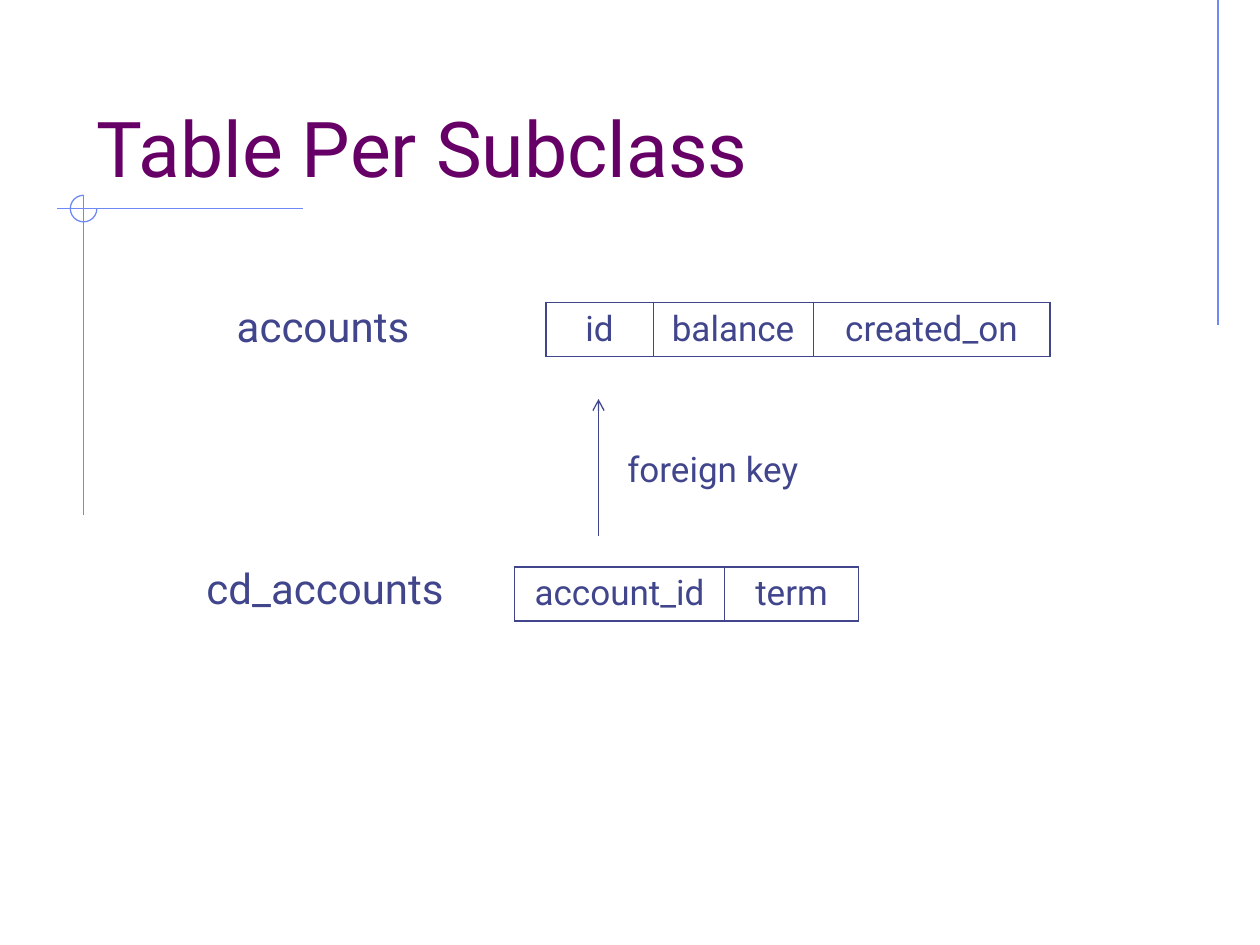
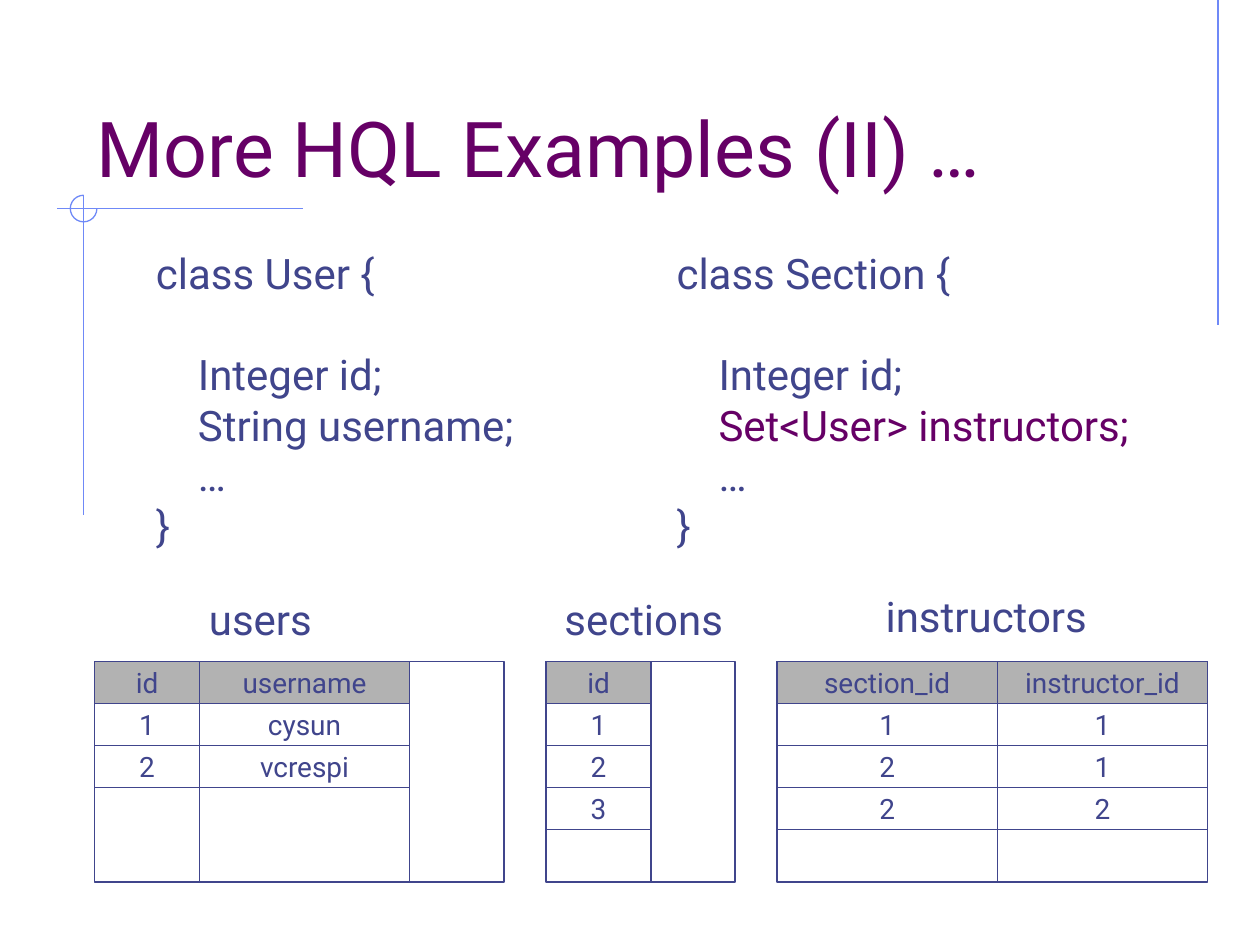
from dataclasses import dataclass
from itertools import accumulate

from lxml import etree
from pptx import Presentation
from pptx.dml.color import RGBColor
from pptx.enum import shapes, text
from pptx.oxml import ns
from pptx.slide import Slide, SlideLayout
from pptx.util import Pt

FONT = "Roboto"
INK, PLUM, SKY, GREY = "40458C", "660066", "6F89F7", "B2B2B2"
THIN = 0.75
CODE_SIZE = 24
CODE_LINE = 28.8
CODE_INDENT = 24
ROW_HEIGHT = 24
GRID_TOP, GRID_HEIGHT = 378, 126


@dataclass
class Caption:
    words: str
    left: float
    top: float
    width: float
    size: float = 24


@dataclass
class Schema:
    """A one-row table of column names."""
    columns: dict[str, float]
    left: float
    top: float


@dataclass
class CodeBlock:
    left: float
    width: float
    opening: str
    fields: list[str]
    key_field: str = ""


@dataclass
class DataGrid:
    """Sample rows in a frame that leaves room for more."""
    left: float
    frame_width: float
    columns: dict[str, float]
    rows: list[list[str]]


SCHEMAS = [
    Schema({"id": 61.2, "balance": 91.4, "created_on": 135.4}, 312, 172.8),
    Schema({"account_id": 120.2, "term": 76.3}, 294, 324),
]
SCHEMA_CAPTIONS = [
    Caption("accounts", 128.2, 168, 115.2),
    Caption("cd_accounts", 110.9, 318, 151.9),
    Caption("foreign key", 351.4, 252, 120.2, 20),
]
CLASSES = [
    CodeBlock(82, 233.3, "class User {", ["Integer id;", "String username;", "…"]),
    CodeBlock(379.5, 289.4, "class Section {",
              ["Integer id;", "Set<User> instructors;", "…"], "Set<User> instructors;"),
]
GRIDS = [
    DataGrid(54, 234, {"id": 60, "username": 120}, [["1", "cysun"], ["2", "vcrespi"]]),
    DataGrid(312, 108, {"id": 60}, [["1"], ["2"], ["3"]]),
    DataGrid(444, 246, {"section_id": 126, "instructor_id": 120},
             [["1", "1"], ["2", "1"], ["2", "2"]]),
]
GRID_CAPTIONS = [
    Caption("users", 112.3, 335.5, 75.6),
    Caption("sections", 315.4, 335.5, 106.6),
    Caption("instructors", 499, 334, 136),
]


def rgb(value: str) -> RGBColor:
    return RGBColor.from_string(value)


def style(paragraph, size: float, color: str = INK, align=text.PP_ALIGN.LEFT) -> None:
    paragraph.alignment = align
    paragraph.font.name = FONT
    paragraph.font.size = Pt(size)
    paragraph.font.color.rgb = rgb(color)


def add_line(slide: Slide, x1: float, y1: float, x2: float, y2: float,
             color: str = INK, arrow: bool = False):
    line = slide.shapes.add_connector(
        shapes.MSO_CONNECTOR.STRAIGHT, Pt(x1), Pt(y1), Pt(x2), Pt(y2))
    line.line.color.rgb = rgb(color)
    line.line.width = Pt(THIN)
    if arrow:
        etree.SubElement(line.line._get_or_add_ln(), ns.qn("a:tailEnd"), type="arrow")
    etree.SubElement(line._element.spPr, ns.qn("a:effectLst"))
    return line


def add_outline(slide: Slide, kind, left: float, top: float, width: float, height: float,
                color: str = INK, fill: str = ""):
    outline = slide.shapes.add_shape(kind, Pt(left), Pt(top), Pt(width), Pt(height))
    outline.shadow.inherit = False
    outline.line.color.rgb = rgb(color)
    outline.line.width = Pt(THIN)
    if fill:
        outline.fill.solid()
        outline.fill.fore_color.rgb = rgb(fill)
    else:
        outline.fill.background()
    return outline


def add_text_frame(slide: Slide, left: float, top: float, width: float, height: float):
    frame = slide.shapes.add_textbox(Pt(left), Pt(top), Pt(width), Pt(height)).text_frame
    frame.word_wrap = False
    frame.auto_size = text.MSO_AUTO_SIZE.SHAPE_TO_FIT_TEXT
    return frame


def add_caption(slide: Slide, caption: Caption) -> None:
    frame = add_text_frame(slide, caption.left, caption.top, caption.width,
                           caption.size * 1.2 + 7.2)
    frame.text = caption.words
    style(frame.paragraphs[0], caption.size)


def set_borders(cell, widths: dict[str, float]) -> None:
    """Set the cell's borders; widths must follow the order L, R, T, B."""
    properties = cell._tc.get_or_add_tcPr()
    for place, (side, width) in enumerate(widths.items()):
        border = etree.Element(ns.qn(f"a:ln{side}"), w=str(Pt(width)))
        fill = etree.SubElement(border, ns.qn("a:solidFill"))
        etree.SubElement(fill, ns.qn("a:srgbClr"), val=INK)
        properties.insert(place, border)


def add_schema(slide: Slide, schema: Schema) -> None:
    outer, inner = 1.08, 0.45
    last = len(schema.columns) - 1
    table = slide.shapes.add_table(
        1, last + 1, Pt(schema.left), Pt(schema.top),
        Pt(sum(schema.columns.values())), Pt(31)).table
    table.first_row = table.horz_banding = False
    for i, (name, width) in enumerate(schema.columns.items()):
        table.columns[i].width = Pt(width)
        cell = table.cell(0, i)
        cell.text = name
        style(cell.text_frame.paragraphs[0], 20, align=text.PP_ALIGN.CENTER)
        cell.text_frame.paragraphs[0].space_before = Pt(5)
        cell.fill.background()
        set_borders(cell, {"L": inner if i else outer, "R": inner if i < last else outer,
                           "T": outer, "B": outer})


def add_code(slide: Slide, block: CodeBlock) -> None:
    frame = add_text_frame(slide, block.left, 138.2, block.width, 180)
    lines = [block.opening, *block.fields, "}"]
    frame.text = "\n".join(lines)
    for paragraph, line in zip(frame.paragraphs, lines):
        style(paragraph, CODE_SIZE, PLUM if line == block.key_field else INK)
        if line in block.fields:
            paragraph._p.get_or_add_pPr().set("marL", str(Pt(CODE_INDENT)))
    frame.paragraphs[1].space_before = Pt(CODE_LINE)


def add_grid(slide: Slide, grid: DataGrid) -> None:
    rectangle = shapes.MSO_SHAPE.RECTANGLE
    add_outline(slide, rectangle, grid.left, GRID_TOP, grid.frame_width, GRID_HEIGHT)
    widths = list(grid.columns.values())
    edges = list(accumulate(widths, initial=grid.left))
    for edge in edges[1:]:
        add_line(slide, edge, GRID_TOP + ROW_HEIGHT, edge, GRID_TOP + GRID_HEIGHT)
    for r, row in enumerate([list(grid.columns), *grid.rows]):
        for left, width, value in zip(edges, widths, row):
            cell = add_outline(slide, rectangle, left, GRID_TOP + r * ROW_HEIGHT, width,
                               ROW_HEIGHT, fill="" if r else GREY)
            frame = cell.text_frame
            frame.text = value
            frame.word_wrap = False
            frame.vertical_anchor = text.MSO_ANCHOR.MIDDLE
            style(frame.paragraphs[0], 16, align=text.PP_ALIGN.CENTER)


def decorate(layout: SlideLayout, slide: Slide) -> None:
    """Draw the corner lines on the slide, then move them to its layout."""
    arc = add_outline(slide, shapes.MSO_SHAPE.ARC, 40.2, 111.6, 15.2, 15.2, SKY)
    arc.adjustments[0], arc.adjustments[1] = 0, 162  # angles in units of 5/3 degree
    lines = [add_line(slide, *ends, SKY) for ends in
             [(696, 0, 696, 186), (173, 119.2, 32.6, 119.2), (47.9, 111.6, 47.9, 294.5)]]
    for part in [*lines, arc]:
        layout.shapes._spTree.append(part._element)


def add_slide(deck, layout: SlideLayout, heading: str) -> Slide:
    slide = deck.slides.add_slide(layout)
    title = slide.shapes.title
    title.left, title.top, title.width, title.height = Pt(48), Pt(24), Pt(612), Pt(90)
    title.text_frame.text = heading
    title.text_frame.vertical_anchor = text.MSO_ANCHOR.BOTTOM
    title.text_frame.auto_size = text.MSO_AUTO_SIZE.NONE
    style(title.text_frame.paragraphs[0], 44, PLUM)
    return slide


def main() -> None:
    deck = Presentation()
    deck.slide_width, deck.slide_height = Pt(720), Pt(540)
    layout = deck.slide_layouts.get_by_name("Title Only")

    subclass = add_slide(deck, layout, "Table Per Subclass")
    decorate(layout, subclass)
    for schema in SCHEMAS:
        add_schema(subclass, schema)
    add_line(subclass, 342, 306, 342, 228, arrow=True)
    for caption in SCHEMA_CAPTIONS:
        add_caption(subclass, caption)

    examples = add_slide(deck, layout, "More HQL Examples (II) …")
    for block in CLASSES:
        add_code(examples, block)
    for grid in GRIDS:
        add_grid(examples, grid)
    for caption in GRID_CAPTIONS:
        add_caption(examples, caption)

    deck.save("out.pptx")


if __name__ == "__main__":
    main()
